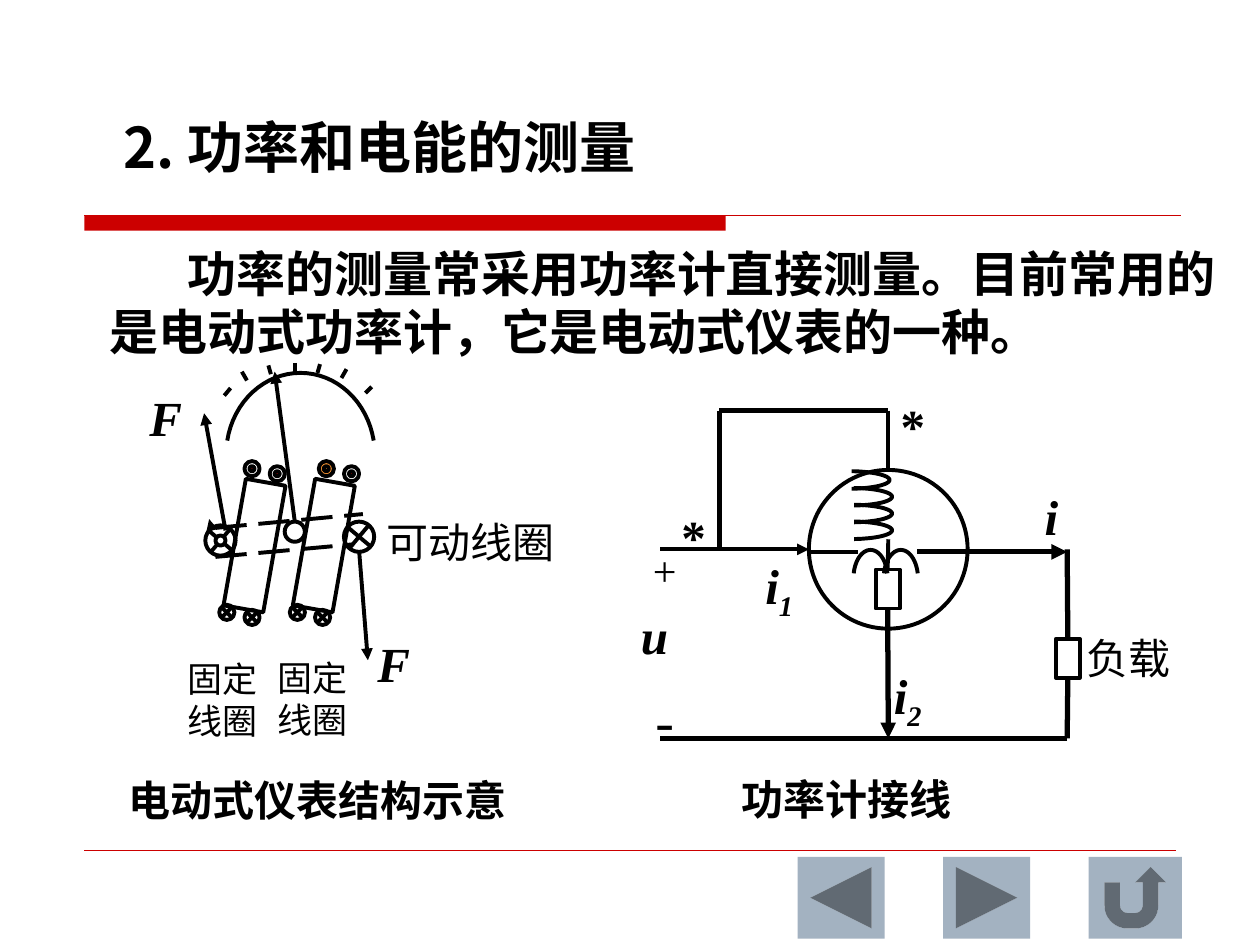
from dataclasses import dataclass
from math import cos, radians, sin
from typing import Any

from lxml.etree import SubElement
from pptx import Presentation
from pptx.dml.color import RGBColor
from pptx.enum.dml import MSO_LINE
from pptx.enum.shapes import MSO_CONNECTOR, MSO_SHAPE
from pptx.enum.text import MSO_ANCHOR, MSO_AUTO_SIZE, PP_ALIGN
from pptx.oxml.ns import qn
from pptx.util import Inches, Pt

BLACK = RGBColor(0x00, 0x00, 0x00)
WHITE = RGBColor(0xFF, 0xFF, 0xFF)
RED = RGBColor(0xCC, 0x00, 0x00)
DOT_RED = RGBColor(0xFF, 0x00, 0x00)
ORANGE = RGBColor(0xFF, 0x99, 0x33)
STEEL = RGBColor(0xA3, 0xB2, 0xC1)

SLIDE_WIDTH, SLIDE_HEIGHT = Inches(10), Inches(7.5)
CELL = SLIDE_WIDTH // 100
THIN, THICK = 2.25, 3
HAN, SANS, SERIF = "Noto Sans CJK SC", "Arial", "Times New Roman"


def style_span(span, size, font, bold=False, italic=False):
    span.font.size = Pt(size)
    span.font.name = font
    span.font.bold = bold
    span.font.italic = italic
    span.font.color.rgb = BLACK
    properties = span._r.get_or_add_rPr()
    SubElement(properties, qn("a:ea")).set("typeface", font if font == SERIF else HAN)


def set_frame(frame):
    frame.word_wrap = True
    frame.auto_size = MSO_AUTO_SIZE.NONE
    frame.vertical_anchor = MSO_ANCHOR.TOP


@dataclass
class Region:
    page: Any
    column: float = 0
    row: float = 0

    def point(self, x, y):
        return round((self.column + x) * CELL), round((self.row + y) * CELL)

    def place(self, box, left, top, width, height):
        box.left, box.top = self.point(left, top)
        box.width, box.height = round(width * CELL), round(height * CELL)

    def shape(self, kind, left, top, width, height, fill=None, line=BLACK, turn=0):
        size = round(width * CELL), round(height * CELL)
        shape = self.page.shapes.add_shape(kind, *self.point(left, top), *size)
        return self.paint(shape, fill, line, turn)

    def paint(self, shape, fill=None, line=BLACK, turn=0):
        shape.shadow.inherit = False
        shape.rotation = turn
        if fill is None:
            shape.fill.background()
        else:
            shape.fill.solid()
            shape.fill.fore_color.rgb = fill
        if line is None:
            shape.line.fill.background()
        else:
            shape.line.color.rgb = line
            shape.line.width = Pt(THIN)
        return shape

    def circle(self, x, y, radius, fill=None):
        return self.shape(MSO_SHAPE.OVAL, x - radius, y - radius, 2 * radius, 2 * radius, fill)

    def line(self, start, end, width=THIN, color=BLACK, arrow=False, dash=None):
        ends = *self.point(*start), *self.point(*end)
        wire = self.page.shapes.add_connector(MSO_CONNECTOR.STRAIGHT, *ends)
        wire.line.width = Pt(width)
        wire.line.color.rgb = color
        if dash:
            wire.line.dash_style = dash
        if arrow:
            SubElement(wire.line._get_or_add_ln(), qn("a:tailEnd")).set("type", "triangle")
        SubElement(wire._element.spPr, qn("a:effectLst"))
        return wire

    def arc(self, x, y, across, down, first, last):
        angles = [radians(first + (last - first) * step / 32) for step in range(33)]
        points = [self.point(x + across * cos(a), y - down * sin(a)) for a in angles]
        builder = self.page.shapes.build_freeform(*points[0], scale=1.0)
        builder.add_line_segments(points[1:], close=False)
        return self.paint(builder.convert_to_shape())

    def label(self, text, box, size, font=SANS, bold=False, italic=False, center=False, sub=""):
        holder = self.page.shapes.add_textbox(0, 0, CELL, CELL)
        self.place(holder, *box)
        set_frame(holder.text_frame)
        para = holder.text_frame.paragraphs[0]
        para.text = text
        if center:
            para.alignment = PP_ALIGN.CENTER
        if font == SANS:
            para.line_spacing = Pt(1.2 * size)
        if sub:
            para.add_run().text = sub
        for span in para.runs:
            style_span(span, size, font, bold, italic)
        if sub:
            para.runs[-1]._r.get_or_add_rPr().set("baseline", "-25000")

    def symbol(self, text, box, sub="", italic=True):
        self.label(text, box, 28, SERIF, True, italic, True, sub)

    def crossed_circle(self, x, y, radius, tilt=0):
        self.circle(x, y, radius)
        for angle in (45 - tilt, 135 - tilt):
            dx, dy = (0.92 * radius * f(radians(angle)) for f in (cos, sin))
            self.line((x - dx, y - dy), (x + dx, y + dy))


def add_rules(region):
    region.shape(MSO_SHAPE.RECTANGLE, 0, 0, 50.9, 1.2, RED, None)
    region.line((0, 0), (87, 0), 0.75, RED)
    region.line((0, 50.4), (86.6, 50.4), 0.25, RED)


def add_heading(region, title, text):
    box = region.page.shapes.title
    region.place(box, 8.8, 8.4, 49.1, 6.4)
    body = region.page.placeholders[1]
    region.place(body, 7.7, 18.8, 90, 10.4)
    for holder, words, size, font in ((box, title, 32, HAN), (body, text, 28, SANS)):
        set_frame(holder.text_frame)
        para = holder.text_frame.paragraphs[0]
        para.text = words
        para.alignment = PP_ALIGN.LEFT
        para.space_before = Pt(0)
        para.line_spacing = Pt(1.2 * size)
        style_span(para.runs[0], size, font, True)
    properties = body.text_frame.paragraphs[0]._p.get_or_add_pPr()
    properties.set("marL", "0")
    properties.set("indent", str(round(6.2 * CELL)))
    SubElement(properties, qn("a:buNone"))
    effects = box.text_frame.paragraphs[0].runs[0]._r.get_or_add_rPr()
    effect_list = effects.makeelement(qn("a:effectLst"), {})
    effects.insert(1, effect_list)
    shadow = SubElement(effect_list, qn("a:outerShdw"), dist="25400", dir="2700000")
    SubElement(shadow, qn("a:srgbClr"), val="C0C0C0")


def add_fixed_coil(region, left, dots, crosses, fill):
    region.shape(MSO_SHAPE.RECTANGLE, left, 10.2, 3.2, 10.2, turn=10)
    for step in range(2):
        x, y = dots + 2 * step, 9.2 + 0.4 * step
        outer = fill if step == 0 else None
        region.circle(x, y, 0.6, outer)
        region.circle(x, y, 0.2, outer or DOT_RED)
        region.crossed_circle(crosses + 2 * step, 20.6 + 0.4 * step, 0.6)


def add_instrument(region):
    region.arc(13.85, 8.1, 5.9, 6.5, 10, 170)
    ticks = [((7.8, 3.4), (8.3, 2.8)), ((9.2, 1.5), (9.6, 2.2)),
             ((11.3, 1), (11.5, 1.7)), ((13.4, 0.8), (13.4, 1.5)),
             ((15.4, 0.9), (15.2, 1.6)), ((17.5, 1.3), (17.1, 2)),
             ((19.5, 2.7), (19, 3.2))]
    for start, end in ticks:
        region.line(start, end)
    add_fixed_coil(region, 8.6, 10, 8, None)
    add_fixed_coil(region, 14.1, 15.9, 13.6, ORANGE)
    region.circle(13.4, 14.2, 0.8)
    for x, y in ((7.5, 14.9), (18.5, 14.6)):
        region.crossed_circle(x, y, 1.2, 5)
    region.line((7.1, 13.9), (18.8, 12.8), dash=MSO_LINE.LONG_DASH)
    region.line((7.1, 16.2), (18.1, 15.2), dash=MSO_LINE.LONG_DASH)
    region.circle(7.5, 14.9, 0.4, WHITE)
    arrows = [((13.4, 13.4), (11.8, 1.5)), ((18.5, 15.7), (19.2, 24.4)),
              ((7.9, 14.1), (6.2, 4.8)), ((6.8, 14), (6.6, 13.2))]
    for start, end in arrows:
        region.line(start, end, arrow=True)
    region.label("固定线圈", (3.9, 23.7, 7.9, 7.7), 20)
    region.label("固定线圈", (11, 23.6, 7.9, 7.7), 20)
    region.label("可动线圈", (19.7, 12.5, 17.3, 5), 24)
    region.symbol("F", (0.8, 2.3, 4.7, 5.7))
    region.symbol("F", (18.9, 21.8, 4.7, 5.7))
    region.label("电动式仪表结构示意", (-0.8, 33, 33.1, 5), 24, bold=True)


def add_circuit(region):
    region.circle(20.5, 13.6, 6.3)
    resistor = region.shape(MSO_SHAPE.RECTANGLE, 19.5, 15.2, 1.9, 3.1)
    load = region.shape(MSO_SHAPE.RECTANGLE, 33.8, 20.7, 1.9, 3.1)
    for turn in range(4):
        region.arc(17.3 if turn == 0 else 17.5, 8.1 + 1.33 * turn, 3.3, 0.7, 85, -85)
    for x in (19.1, 21.5):
        region.arc(x, 15.9, 1.36, 2.25, 10, 170)
    region.line((20.5, 12.8), (20.5, 15.2)).end_connect(resistor, 0)
    region.line((18.1, 13.8), (14.2, 13.8))
    region.line((2.4, 13.6), (14.2, 13.6), arrow=True)
    region.line((22.8, 13.8), (34.7, 13.8), THICK, arrow=True)
    region.line((7.1, 13.6), (7.1, 2.6), THICK)
    region.line((7.1, 2.6), (20.5, 2.6), THICK)
    region.line((20.5, 2.6), (20.5, 7.3))
    region.line((34.7, 13.6), (34.7, 20.7), THICK).end_connect(load, 0)
    region.line((34.7, 23.8), (34.7, 28.6), THICK).begin_connect(load, 2)
    region.line((34.7, 28.6), (2.4, 28.6), THICK)
    region.line((20.5, 18.3), (20.5, 28.6), THICK, arrow=True).begin_connect(resistor, 2)
    region.symbol("i", (19.7, 22.3, 4.7, 6.3), "2")
    region.symbol("i", (31.5, 8.1, 3.9, 5.7))
    region.symbol("i", (8.7, 13.6, 6.3, 6.3), "1")
    region.symbol("*", (3.1, 9.7, 3.9, 5.7), italic=False)
    region.symbol("*", (20.5, 0.9, 3.9, 5.7), italic=False)
    region.symbol("u", (-0.8, 17.6, 5.5, 5.7))
    region.label("+", (0, 12.7, 5.5, 5), 24, SERIF, center=True)
    region.label("-", (0, 23.9, 5.5, 6.4), 32, SERIF, center=True)
    region.label("功率计接线", (7.9, 30.9, 19.7, 5), 24, bold=True)
    region.label("负载", (34.7, 19.7, 9.8, 5), 24, center=True)


def add_buttons(region):
    kinds = (MSO_SHAPE.ACTION_BUTTON_BACK_OR_PREVIOUS,
             MSO_SHAPE.ACTION_BUTTON_FORWARD_OR_NEXT, MSO_SHAPE.ACTION_BUTTON_RETURN)
    for index, (kind, width) in enumerate(zip(kinds, (6.9, 6.9, 7.4))):
        region.shape(kind, 11.55 * index, 0, width, 6.5, STEEL, None)


def main():
    deck = Presentation()
    deck.slide_width, deck.slide_height = SLIDE_WIDTH, SLIDE_HEIGHT
    page = deck.slides.add_slide(deck.slide_layouts[1])
    add_rules(Region(page, 6.7, 17.1))
    add_heading(Region(page), "2. 功率和电能的测量",
                "功率的测量常采用功率计直接测量。目前常用的是电动式功率计，它是电动式仪表的一种。")
    add_instrument(Region(page, 10, 28))
    add_circuit(Region(page, 50, 30))
    add_buttons(Region(page, 63.3, 68))
    deck.save("out.pptx")


if __name__ == "__main__":
    main()
